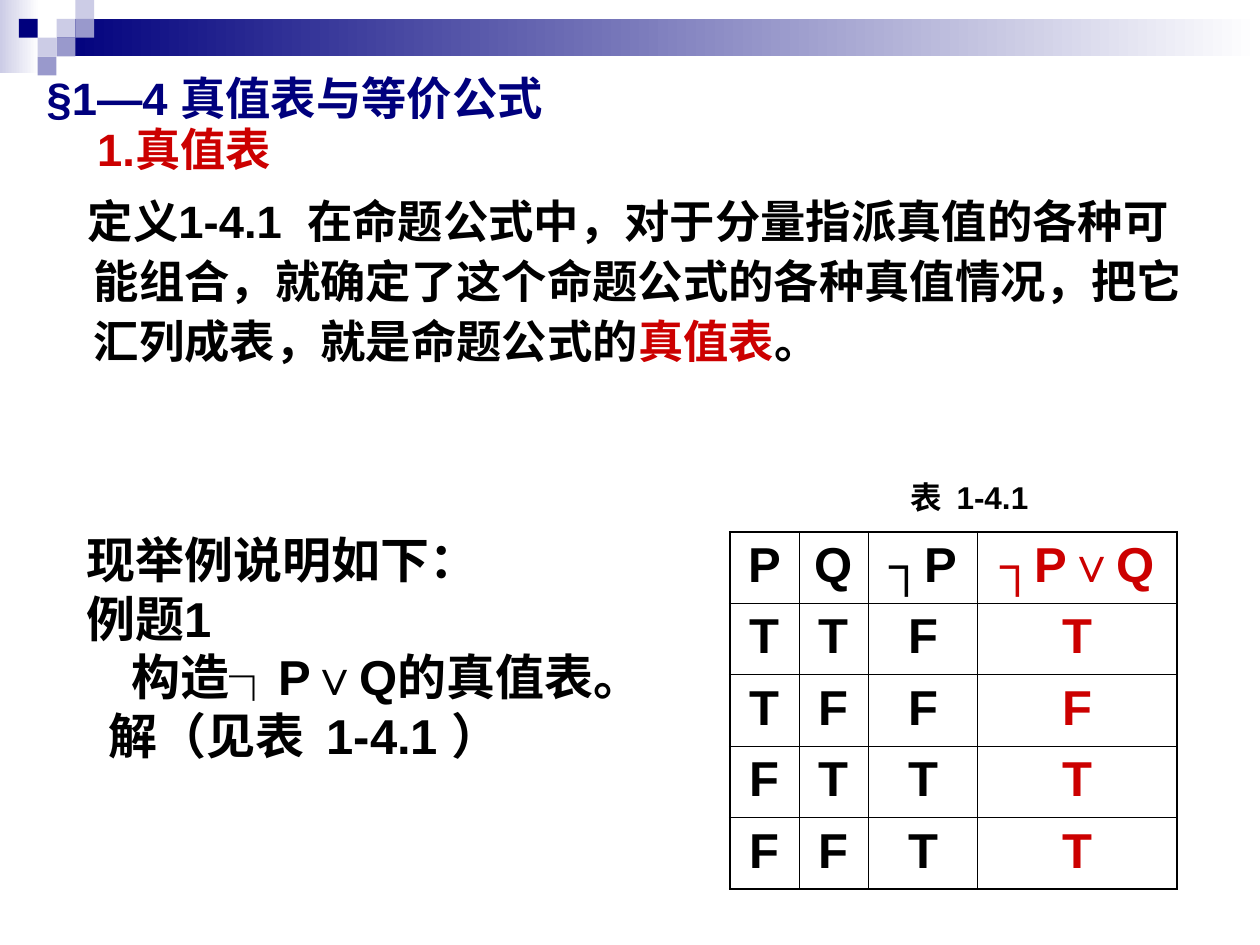
from lxml import etree
from pptx import Presentation
from pptx.dml.color import RGBColor
from pptx.enum.shapes import MSO_SHAPE
from pptx.enum.text import MSO_ANCHOR, MSO_AUTO_SIZE, PP_ALIGN
from pptx.oxml.ns import qn
from pptx.util import Cm, Pt

RECT = MSO_SHAPE.RECTANGLE
TOP = MSO_ANCHOR.TOP
NO_FIT = MSO_AUTO_SIZE.NONE
LEFT, CENTER = PP_ALIGN.LEFT, PP_ALIGN.CENTER

FONT = "Arial"
NAVY, LILAC, VIOLET = "00007D", "CCCCE6", "9999CC"
RED, BLACK, WHITE = "CC0000", "000000", "FFFFFF"
TEXT_SIZE, EXAMPLE_SIZE, CAPTION_SIZE = 25.9, 28, 18
SIDE_INSET, EDGE_INSET = 0.25, 0.13
THICK, THIN = 1.08, 0.45


def rgb(value):
    return RGBColor.from_string(value)


def add_run(p, text, size, color=BLACK):
    r = p.add_run()
    r.text = text
    r.font.name = FONT
    r.font.size = Pt(size)
    r.font.bold = True
    r.font.color.rgb = rgb(color)


def set_frame(tf, edge):
    tf.word_wrap = True
    tf.auto_size = NO_FIT
    tf.vertical_anchor = TOP
    tf.margin_left = tf.margin_right = Cm(SIDE_INSET)
    tf.margin_top = tf.margin_bottom = Cm(edge)


def add_text(s, box, paragraphs, size, edge=EDGE_INSET):
    tf = s.shapes.add_textbox(*map(Cm, box)).text_frame
    set_frame(tf, edge)
    for i, (runs, margin, indent, spacing, before) in enumerate(paragraphs):
        p = tf.paragraphs[0] if i == 0 else tf.add_paragraph()
        pPr = p._p.get_or_add_pPr()
        pPr.set("marL", str(Cm(margin)))
        pPr.set("indent", str(Cm(indent)))
        p.line_spacing = spacing
        p.space_before = Pt(before)
        for text, color in runs:
            add_run(p, text, size, color)


def add_block(s, box, color, fade=False):
    sp = s.shapes.add_shape(RECT, *map(Cm, box))
    sp.shadow.inherit = False
    sp.line.fill.background()
    if fade:
        sp.fill.gradient()
        sp.fill.gradient_angle = 0
        for stop, position, value in zip(sp.fill.gradient_stops, (0, 1), (color, WHITE)):
            stop.position = position
            stop.color.rgb = rgb(value)
    else:
        sp.fill.solid()
        sp.fill.fore_color.rgb = rgb(color)


def add_banner(s, box):
    x, y, w, h = box
    unit = h / 4
    add_block(s, (x, y, 0.79, 1.47), LILAC, fade=True)
    add_block(s, (x + 3 * unit, y + unit, w - 3 * unit, 2 * unit), NAVY, fade=True)
    squares = [(3, 1, LILAC), (4, 0, LILAC), (4, 1, VIOLET), (2, 2, LILAC),
               (1, 1, NAVY), (3, 2, VIOLET), (2, 3, VIOLET)]
    for col, row, color in squares:
        add_block(s, (x + col * unit, y + row * unit, unit, unit), color)


def set_title(s, box, text):
    sp = s.shapes.title
    sp.left, sp.top, sp.width, sp.height = map(Cm, box)
    set_frame(sp.text_frame, 0)
    p = sp.text_frame.paragraphs[0]
    p.alignment = LEFT
    p.line_spacing = 1.0
    add_run(p, text, TEXT_SIZE, NAVY)


def add_definition(s, box):
    body = [("定义1-4.1  在命题公式中，对于分量指派真值的各种可能组合，就确定了这个"
             "命题公式的各种真值情况，把它汇列成表，就是命题公式的", BLACK),
            ("真值表", RED), ("。", BLACK)]
    add_text(s, box, [([("1.真值表", RED)], 1.02, 0, 1.0, 0),
                      (body, 0.95, -0.12, 1.1, 7)], TEXT_SIZE, edge=0)


def add_example(s, box):
    lines = [("现举例说明如下：", 0), ("例题1", 0),
             ("构造┐P∨Q的真值表。", 0.9), ("解（见表  1-4.1 ）", 0.44)]
    add_text(s, box, [([(text, BLACK)], margin, 0, 1.0, 0) for text, margin in lines],
             EXAMPLE_SIZE)


def set_border(cell, side, width):
    ln = etree.SubElement(cell._tc.get_or_add_tcPr(), qn("a:" + side), w=str(Pt(width)))
    fill = etree.SubElement(ln, qn("a:solidFill"))
    etree.SubElement(fill, qn("a:srgbClr"), val=BLACK)


def add_truth_table(s, box):
    rows = [("P", "Q", "┐P", "┐P∨Q"),
            ("T", "T", "F", "T"),
            ("T", "F", "F", "F"),
            ("F", "T", "T", "T"),
            ("F", "F", "T", "T")]
    widths = (1.4, 1.4, 2.2, 4.02)
    last_row, last_col = len(rows) - 1, len(widths) - 1
    table = s.shapes.add_table(len(rows), len(widths), *map(Cm, box)).table
    table.first_row = table.horz_banding = False
    for column, width in zip(table.columns, widths):
        column.width = Cm(width)
    for i, row in enumerate(rows):
        table.rows[i].height = Cm(box[3] / len(rows))
        for j, text in enumerate(row):
            cell = table.cell(i, j)
            outer = {"lnL": j == 0, "lnR": j == last_col,
                     "lnT": i == 0, "lnB": i == last_row}
            for side, on_edge in outer.items():
                set_border(cell, side, THICK if on_edge else THIN)
            cell.fill.solid()
            cell.fill.fore_color.rgb = rgb(WHITE)
            cell.margin_left = cell.margin_right = Cm(SIDE_INSET)
            cell.margin_top = cell.margin_bottom = Cm(EDGE_INSET)
            p = cell.text_frame.paragraphs[0]
            p.alignment = CENTER
            add_run(p, text, EXAMPLE_SIZE, RED if j == last_col else BLACK)


def main():
    prs = Presentation()
    prs.slide_width, prs.slide_height = Cm(25.4), Cm(19.05)
    s = prs.slides.add_slide(prs.slide_layouts[5])
    add_banner(s, (0, 0, 25.4, 1.52))
    set_title(s, (0.69, 1.42, 23.65, 1.1), "§1—4 真值表与等价公式")
    add_definition(s, (0.69, 2.44, 23.65, 5.08))
    add_truth_table(s, (14.71, 10.72, 9.02, 7.2))
    add_example(s, (1.5, 10.54, 14.81, 6.2))
    add_text(s, (18.11, 9.5, 4.19, 1.02),
             [([("表  1-4.1", BLACK)], 0, 0, 1.0, 0)], CAPTION_SIZE)
    prs.save("out.pptx")


if __name__ == "__main__":
    main()
